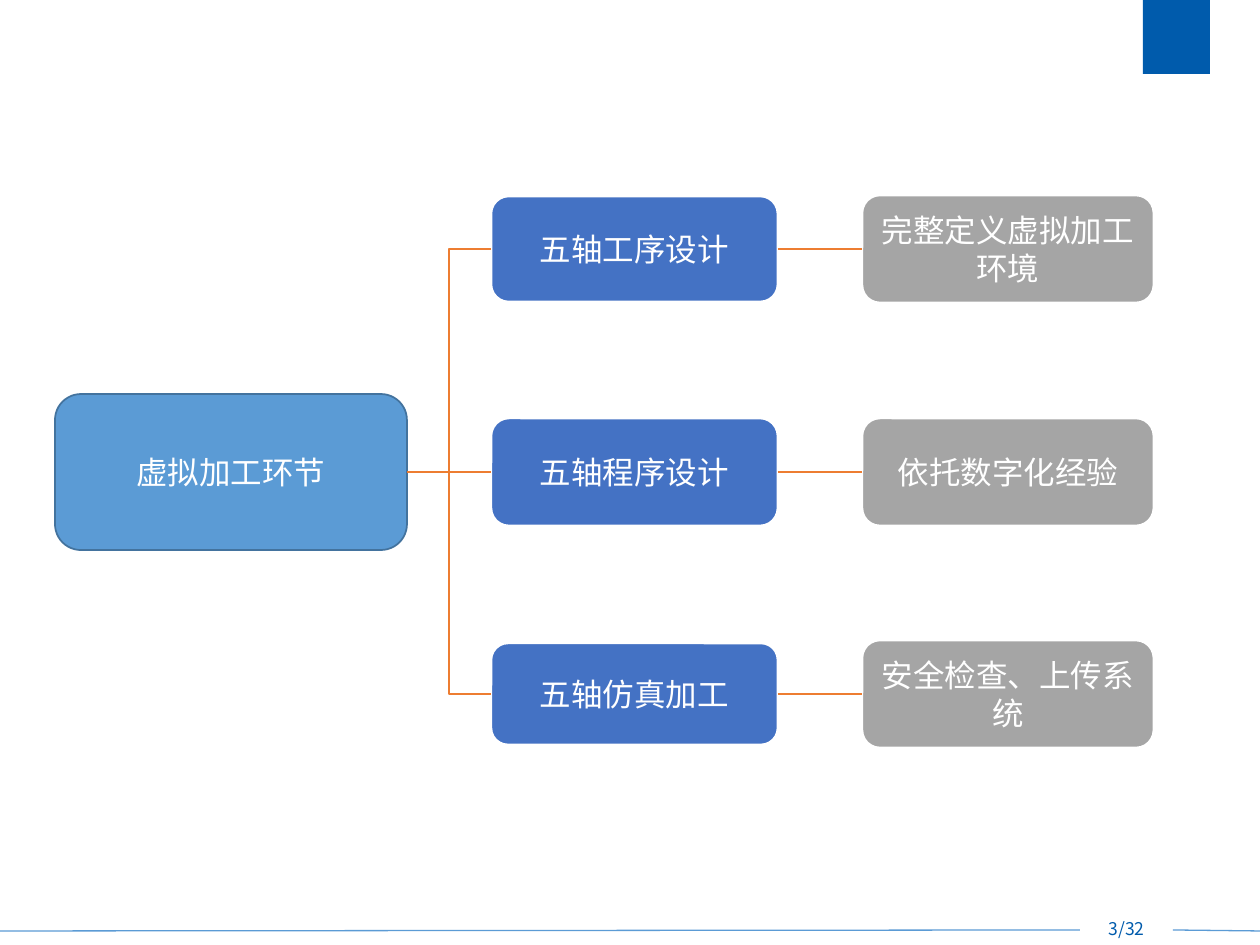
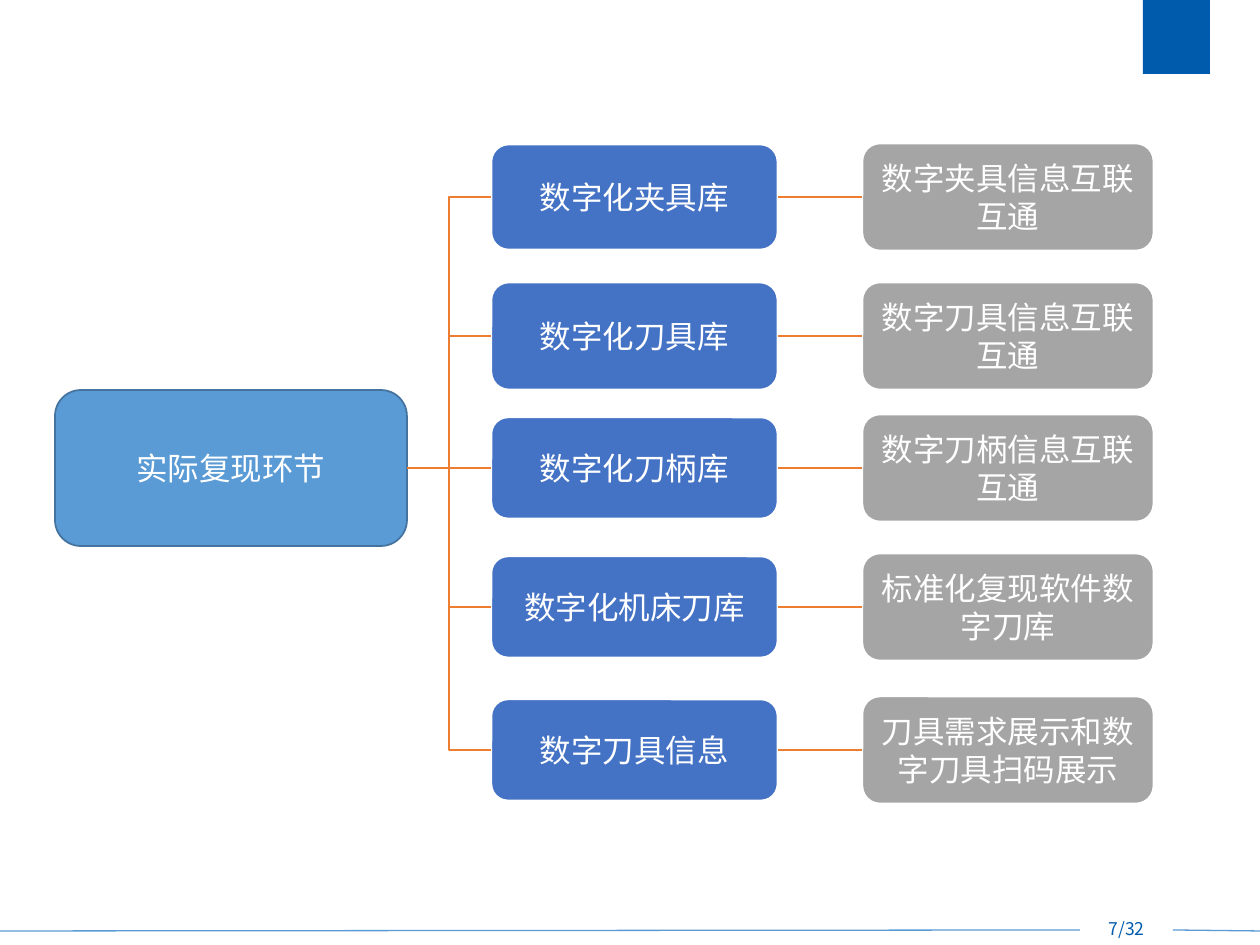
from lxml.etree import SubElement
from pptx import Presentation
from pptx.dml.color import RGBColor
from pptx.enum.shapes import MSO_CONNECTOR, MSO_SHAPE
from pptx.enum.text import MSO_ANCHOR, PP_ALIGN
from pptx.oxml.ns import qn
from pptx.util import Emu, Pt

WIDTH, HEIGHT = 1260, 945
PX = 914400 / 126

BRAND_BLUE = RGBColor(0x00, 0x5B, 0xAC)
ROOT_BLUE = RGBColor(0x5B, 0x9B, 0xD5)
ROOT_EDGE = RGBColor(0x43, 0x73, 0x9E)
BRANCH_BLUE = RGBColor(0x44, 0x72, 0xC4)
LEAF_GRAY = RGBColor(0xA5, 0xA5, 0xA5)
ORANGE = RGBColor(0xED, 0x7D, 0x31)
WHITE = RGBColor(0xFF, 0xFF, 0xFF)

BODY_FONT = "Calibri"
FOOTER_FONT = "Noto Sans CJK SC"
LEFT_SITE, RIGHT_SITE = 1, 3

# Tree columns: offset from the tree's left edge, width
ROOT_COL = (0, 352)
BRANCH_COL = (436, 287)
LEAF_COL = (807, 292)
ROOT_HEIGHT, LEAF_HEIGHT = 156, 108

# Each row: centre below the tree's top, branch height, branch text, leaf text
VIRTUAL_ROWS = [
    (54, 106, "五轴工序设计", "完整定义虚拟加工环境"),
    (277, 108, "五轴程序设计", "依托数字化经验"),
    (499, 102, "五轴仿真加工", "安全检查、上传系统"),
]
ACTUAL_ROWS = [
    (54, 106, "数字化夹具库", "数字夹具信息互联互通"),
    (193, 108, "数字化刀具库", "数字刀具信息互联互通"),
    (325, 102, "数字化刀柄库", "数字刀柄信息互联互通"),
    (464, 102, "数字化机床刀库", "标准化复现软件数字刀库"),
    (607, 102, "数字刀具信息", "刀具需求展示和数字刀具扫码展示"),
]


def px(*values):
    return [Emu(round(v * PX)) for v in values]


def write(sp, text, size=18, font=BODY_FONT, color=WHITE, anchor=MSO_ANCHOR.MIDDLE):
    tf = sp.text_frame
    tf.word_wrap = True
    tf.vertical_anchor = anchor
    p = tf.paragraphs[0]
    p.alignment = PP_ALIGN.CENTER
    r = p.add_run()
    r.text = text
    r.font.size = Pt(size)
    r.font.name = font
    r.font.color.rgb = color


def add_box(slide, kind, box, fill, edge=None, weight=1.5):
    sp = slide.shapes.add_shape(kind, *px(*box))
    sp.shadow.inherit = False
    sp.fill.solid()
    sp.fill.fore_color.rgb = fill
    if edge is None:
        sp.line.fill.background()
    else:
        sp.line.color.rgb = edge
        sp.line.width = Pt(weight)
    return sp


def add_line(slide, ends, color, weight, kind=MSO_CONNECTOR.STRAIGHT):
    line = slide.shapes.add_connector(kind, *px(*ends))
    line.line.color.rgb = color
    line.line.width = Pt(weight)
    SubElement(line._element.spPr, qn("a:effectLst"))
    return line


def link(slide, start, end, kind=MSO_CONNECTOR.STRAIGHT):
    line = add_line(slide, (0, 0, 0, 0), ORANGE, 1.5, kind)
    line.begin_connect(start, RIGHT_SITE)
    line.end_connect(end, LEFT_SITE)


def add_frame(slide, page):
    # Corner badge
    add_box(slide, MSO_SHAPE.RECTANGLE, (1143, 0, 67, 74), BRAND_BLUE)
    # Footer rule, broken by the page number
    add_line(slide, (0, 931, 1080, 930), ROOT_BLUE, 0.75)
    add_line(slide, (1173, 930, WIDTH, 931), ROOT_BLUE, 0.75)
    tb = slide.shapes.add_textbox(*px(1080, 912, 93, 34))
    write(tb, page, size=10, font=FOOTER_FONT, color=BRAND_BLUE, anchor=MSO_ANCHOR.TOP)


def add_tree(slide, left, top, title, rows):
    def node(column, center, height, text, fill, edge=WHITE, weight=1.5):
        offset, width = column
        box = (left + offset, top + center - height // 2, width, height)
        sp = add_box(slide, MSO_SHAPE.ROUNDED_RECTANGLE, box, fill, edge, weight)
        write(sp, text)
        return sp

    # The root is level with the middle row
    middle = rows[len(rows) // 2][0]
    root = node(ROOT_COL, middle, ROOT_HEIGHT, title, ROOT_BLUE, ROOT_EDGE, 1)
    for center, height, branch_text, leaf_text in rows:
        branch = node(BRANCH_COL, center, height, branch_text, BRANCH_BLUE)
        leaf = node(LEAF_COL, center, LEAF_HEIGHT, leaf_text, LEAF_GRAY)
        straight = center == middle
        link(slide, root, branch, MSO_CONNECTOR.STRAIGHT if straight else MSO_CONNECTOR.ELBOW)
        link(slide, branch, leaf)


def main():
    prs = Presentation()
    prs.slide_width, prs.slide_height = px(WIDTH, HEIGHT)
    for page, top, title, rows in [
        ("3/32", 195, "虚拟加工环节", VIRTUAL_ROWS),
        ("7/32", 143, "实际复现环节", ACTUAL_ROWS),
    ]:
        slide = prs.slides.add_slide(prs.slide_layouts[6])
        add_frame(slide, page)
        add_tree(slide, 55, top, title, rows)
    prs.save("out.pptx")


if __name__ == "__main__":
    main()
